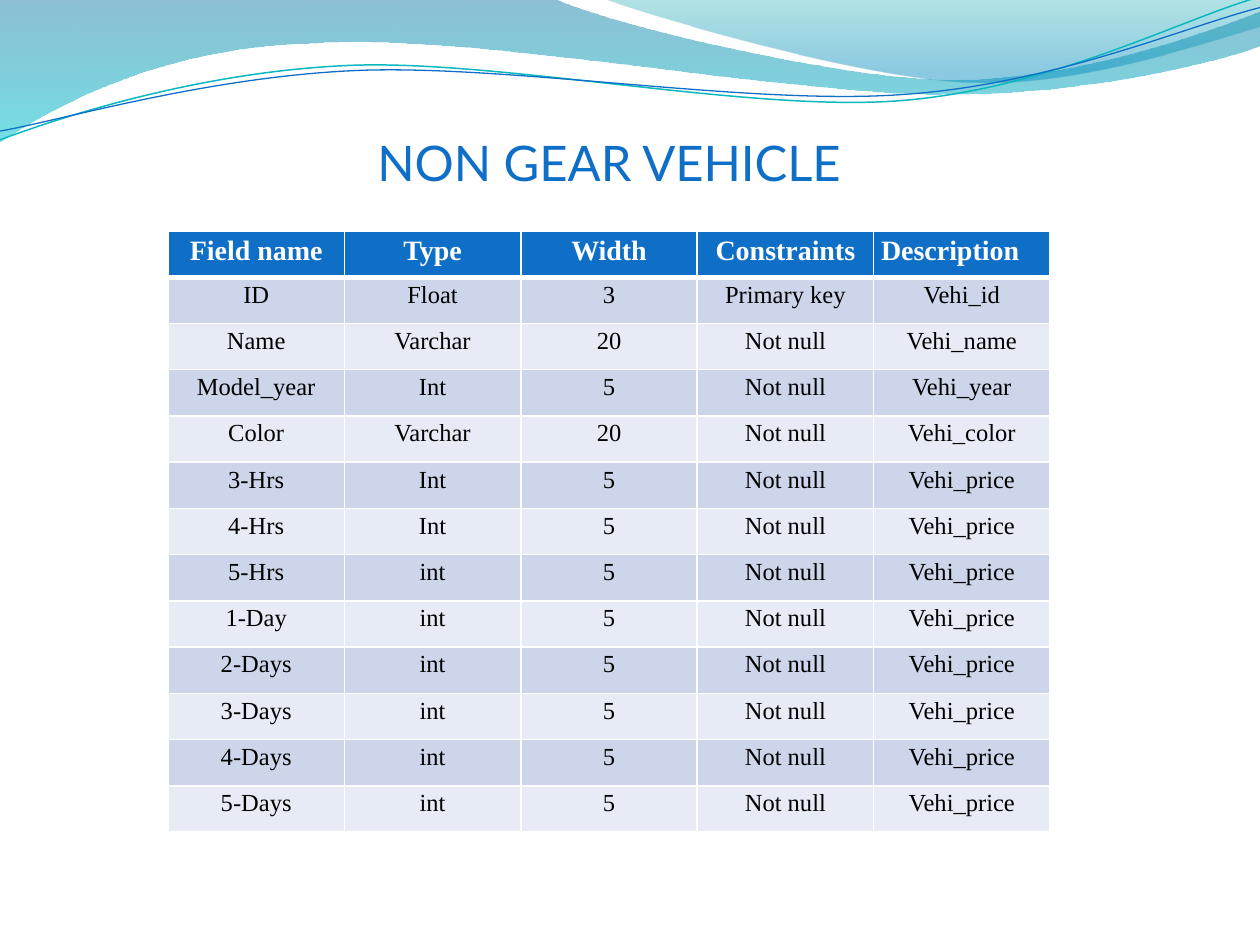
from math import cos, radians, sin

from lxml import etree
from pptx import Presentation
from pptx.dml.color import RGBColor
from pptx.enum.text import MSO_AUTO_SIZE, PP_ALIGN
from pptx.oxml.ns import qn
from pptx.util import Pt

COLORS = {
    "blue": "0F6FC6", "teal": "0AB8BF", "white": "FFFFFF", "black": "000000",
    "band_dark": "CCD5EA", "band_light": "E7EBF5",
    "wave_top": "0074A1", "wave_bottom": "00C6CF",
    "crest_top": "00A1A9", "crest_bottom": "008BBF",
}
STRAND_TILT = -2.7

WAVE_BOX = (-0.7, -0.7, 721.4, 82.1)
WAVE = [
    [(0, 0)], [(316.8, -0.7)],
    [(342.7, 12.2), (478.1, 45.4), (545.8, 45.4)],
    [(614.2, 45.4), (689.8, 18.7), (720, 6.5)],
    [(720.7, 25.9)],
    [(707.8, 31.7), (626.4, 54.7), (537.1, 54)],
    [(447.8, 54), (275, 20.2), (185, 24.5)],
    [(92.9, 25.9), (33.1, 59.8), (-0.7, 81.4)],
    [(0, 0)],
]
CREST_BOX = (344.9, -0.7, 375.1, 50.4)
CREST = [
    [(344.9, -0.7)],
    [(366.5, 7.9), (491, 44.6), (553.7, 46.8)],
    [(616.3, 49.7), (691.9, 23), (720, 15.1)],
    [(720, 0)], [(344.9, -0.7)],
]
TEAL_BOX = (-1.4, 15.8, 721.4, 51.1)
TEAL_STRAND = [
    [(0, 79.9)],
    [(34.6, 67), (113.8, 41), (199.4, 37.4)],
    [(284.4, 33.8), (427, 64.1), (513.4, 57.6)],
    [(599.8, 51.1), (675.4, 10.8), (718.6, -1.4)],
]
BLUE_BOX = (-1.4, 21.6, 722.2, 41.8)
BLUE_STRAND = [
    [(0, 74.9)],
    [(33.8, 69.1), (118.1, 43.9), (203.8, 40.3)],
    [(290.2, 36.7), (429.8, 60.5), (516.2, 54)],
    [(601.9, 48.2), (677.5, 15.1), (720, 4.3)],
]

HEADINGS = ["Field name", "Type", "Width", "Constraints", "Description"]
FIELDS = [
    ("ID", "Float", "3", "Primary key", "Vehi_id"),
    ("Name", "Varchar", "20", "Not null", "Vehi_name"),
    ("Model_year", "Int", "5", "Not null", "Vehi_year"),
    ("Color", "Varchar", "20", "Not null", "Vehi_color"),
]
PRICE_PERIODS = [
    ("3-Hrs", "Int"), ("4-Hrs", "Int"), ("5-Hrs", "int"),
    ("1-Day", "int"), ("2-Days", "int"), ("3-Days", "int"),
    ("4-Days", "int"), ("5-Days", "int"),
]
FIELDS += [(period, kind, "5", "Not null", "Vehi_price")
           for period, kind in PRICE_PERIODS]


def rgb(name):
    return RGBColor.from_string(COLORS[name])


def to_local(point, box, tilt):
    left, top, width, height = box
    x, y = point[0] - left - width / 2, point[1] - top - height / 2
    turn = radians(-tilt)
    return (x * cos(turn) - y * sin(turn) + width / 2,
            x * sin(turn) + y * cos(turn) + height / 2)


def add_outline(slide, segments, box, tilt=0, close=False):
    left, top, width, height = map(Pt, box)
    builder = slide.shapes.build_freeform(left, top)
    builder.add_line_segments([(left + width, top + height)], close=False)
    outline = builder.convert_to_shape()
    outline.left, outline.top = left, top
    outline.width, outline.height = width, height
    outline.rotation = tilt
    outline.shadow.inherit = False
    track = next(outline._element.iter(qn("a:path")))
    for step in list(track):
        track.remove(step)
    track.set("w", str(width))
    track.set("h", str(height))
    for index, segment in enumerate(segments):
        kind = "cubicBezTo" if len(segment) == 3 else "lnTo" if index else "moveTo"
        step = etree.SubElement(track, qn(f"a:{kind}"))
        for point in segment:
            x, y = to_local(point, box, tilt)
            etree.SubElement(step, qn("a:pt"), x=str(Pt(x)), y=str(Pt(y)))
    if close:
        etree.SubElement(track, qn("a:close"))
    return outline


def add_wave(slide, segments, box, stops):
    wave = add_outline(slide, segments, box, close=True)
    wave.line.fill.background()
    wave.fill.gradient()
    wave.fill.gradient_angle = 270
    for stop, (position, color, _) in zip(wave.fill.gradient_stops, stops):
        stop.position = position
        stop.color.rgb = rgb(color)
    for tint, (_, _, opacity) in zip(wave._element.spPr.iter(qn("a:srgbClr")), stops):
        etree.SubElement(tint, qn("a:alpha"), val=str(opacity * 1000))


def add_strand(slide, segments, box, color, width):
    strand = add_outline(slide, segments, box, STRAND_TILT)
    strand.fill.background()
    strand.line.color.rgb = rgb(color)
    strand.line.width = Pt(width)


def add_title(slide, text):
    box = slide.shapes.add_textbox(Pt(156), Pt(72), Pt(384), Pt(41))
    box.text_frame.word_wrap = True
    box.text_frame.auto_size = MSO_AUTO_SIZE.SHAPE_TO_FIT_TEXT
    title = box.text_frame.paragraphs[0]
    title.text = text
    title.alignment = PP_ALIGN.CENTER
    title.font.name = "Lato"
    title.font.size = Pt(28)
    title.font.color.rgb = rgb("blue")


def set_borders(cell, top, bottom):
    properties = cell._tc.get_or_add_tcPr()
    for side, width in (("L", 1), ("R", 1), ("T", top), ("B", bottom)):
        edge = etree.SubElement(properties, qn(f"a:ln{side}"), w=str(Pt(width)))
        paint = etree.SubElement(edge, qn("a:solidFill"))
        etree.SubElement(paint, qn("a:srgbClr"), val=COLORS["white"])


def fill_cell(cell, text, row):
    heading = row == 0
    set_borders(cell, 3 if row == 1 else 1, 3 if heading else 1)
    cell.fill.solid()
    band = "band_dark" if row % 2 else "band_light"
    cell.fill.fore_color.rgb = rgb("blue" if heading else band)
    cell.margin_left = cell.margin_right = Pt(4.3)
    cell.margin_top = cell.margin_bottom = Pt(0)
    entry = cell.text_frame.paragraphs[0]
    entry.text = text
    entry.alignment = PP_ALIGN.LEFT if text == "Description" else PP_ALIGN.CENTER
    entry.line_spacing = 1.15
    entry.font.name = "Times New Roman"
    entry.font.size = Pt(16 if heading else 14)
    entry.font.bold = heading
    entry.font.color.rgb = rgb("white" if heading else "black")


def add_field_table(slide, rows):
    row_height = Pt(26.42)
    table = slide.shapes.add_table(len(rows), len(HEADINGS), Pt(96), Pt(132),
                                   Pt(504), row_height * len(rows)).table
    for r, texts in enumerate(rows):
        table.rows[r].height = row_height
        for c, text in enumerate(texts):
            fill_cell(table.cell(r, c), text, r)


def main():
    deck = Presentation()
    deck.slide_width, deck.slide_height = Pt(720), Pt(540)
    slide = deck.slides.add_slide(deck.slide_layouts[6])
    add_wave(slide, WAVE, WAVE_BOX, [(0, "wave_top", 45), (1, "wave_bottom", 55)])
    add_wave(slide, CREST, CREST_BOX, [(0, "crest_top", 30), (0.8, "crest_bottom", 45)])
    add_strand(slide, TEAL_STRAND, TEAL_BOX, "teal", 0.85)
    add_strand(slide, BLUE_STRAND, BLUE_BOX, "blue", 0.75)
    add_title(slide, "NON GEAR VEHICLE")
    add_field_table(slide, [HEADINGS, *FIELDS])
    deck.save("out.pptx")


if __name__ == "__main__":
    main()
